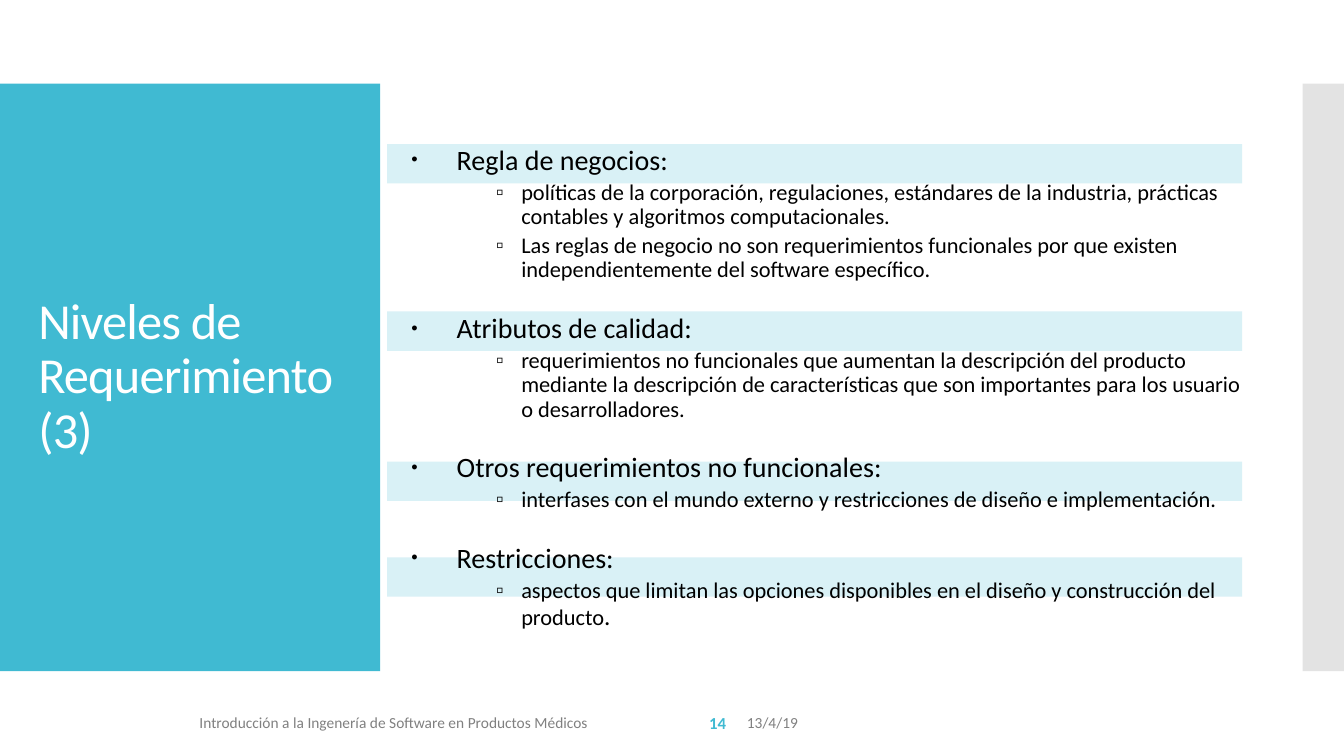
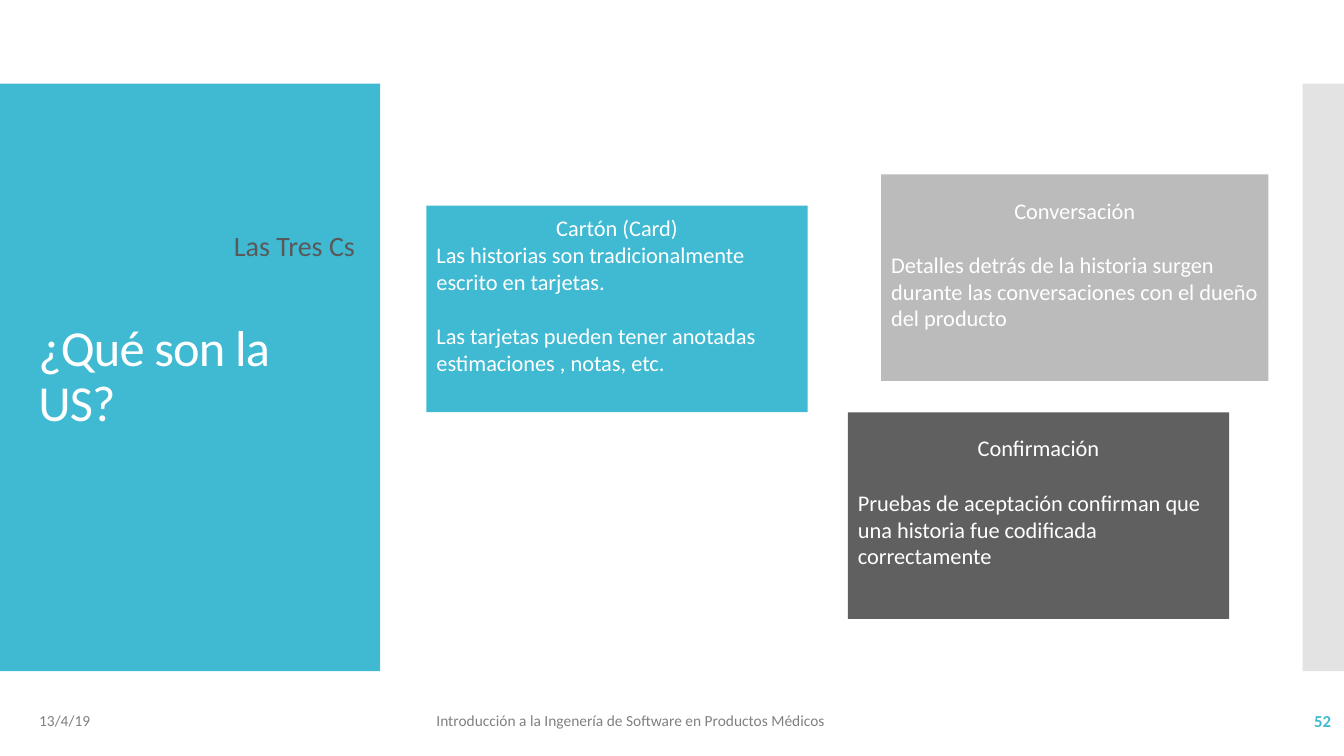
"""Build two slides on requirement levels and user stories."""
from lxml.etree import SubElement
from pptx import Presentation
from pptx.dml.color import RGBColor
from pptx.enum.shapes import MSO_SHAPE
from pptx.enum.text import MSO_ANCHOR, MSO_AUTO_SIZE, PP_ALIGN
from pptx.oxml.ns import qn
from pptx.util import Inches, Pt

TEAL = RGBColor(0x40, 0xBA, 0xD2)
PALE_TEAL = RGBColor(0xD9, 0xF1, 0xF6)
SILVER = RGBColor(0xC8, 0xC8, 0xC8)
GRAY = RGBColor(0xBB, 0xBB, 0xBB)
DARK_GRAY = RGBColor(0x60, 0x60, 0x60)
SUBTITLE_GRAY = RGBColor(0x59, 0x59, 0x59)
FOOTER_GRAY = RGBColor(0x80, 0x80, 0x80)
WHITE = RGBColor(0xFF, 0xFF, 0xFF)
BLACK = RGBColor(0, 0, 0)

COURSE = "Introducción a la Ingenería de Software en Productos Médicos"
DATE = "13/4/19"


def write(p, text, size, color, bold=False, **layout):
    """Add a formatted run and set the paragraph attributes."""
    r = p.add_run()
    r.text = text
    r.font.color.rgb = color
    for name, value in {"name": "Calibri", "size": Pt(size), "bold": bold}.items():
        setattr(r.font, name, value)
    for name, value in layout.items():
        setattr(p, name, value)
    return r


def add_rect(s, box, color):
    """Add a flat rectangle without outline."""
    sp = s.shapes.add_shape(MSO_SHAPE.RECTANGLE, *map(Inches, box))
    sp.shadow.inherit = False
    sp.fill.solid()
    sp.fill.fore_color.rgb = color
    sp.line.fill.background()
    return sp


prs = Presentation()
prs.slide_width, prs.slide_height = Inches(13.33), Inches(7.5)
layout = prs.slide_layouts[1]
title = layout.placeholders[0]
title.left, title.top, title.width, title.height = map(Inches, (0.28, 1.23, 3.22, 5.03))
title.text_frame.vertical_anchor = MSO_ANCHOR.MIDDLE

SLIDES = [
    ("Niveles de Requerimiento (3)", (3.83, 1.4, 8.69, 5.15), MSO_ANCHOR.TOP, 6.97,
     [(DATE, 7.31, 4.14), (COURSE, 1.88, 4.14), ("14", 6.03, 1.27)]),
    ("¿Qué son la US?", (2.02, 2.1, 8.19, 0.71), MSO_ANCHOR.MIDDLE, 6.95,
     [(DATE, 0.29, 3), (COURSE, 4.23, 6.46), ("52", 11.63, 1.67)]),
]
for heading, body_box, anchor, footer_top, footers in SLIDES:
    s = prs.slides.add_slide(layout)
    tf = s.shapes.title.text_frame
    tf.auto_size = MSO_AUTO_SIZE.NONE
    r = write(tf.paragraphs[0], heading, 36, WHITE,
              alignment=PP_ALIGN.LEFT, line_spacing=0.9)
    r.font._element.set("spc", "-60")

    body = s.placeholders[1]
    body.left, body.top, body.width, body.height = map(Inches, body_box)
    body.text_frame.auto_size = MSO_AUTO_SIZE.NONE
    body.text_frame.vertical_anchor = anchor

    for text, left, width in footers:
        tf = s.shapes.add_textbox(*map(Inches, (left, footer_top, width, 0.4))).text_frame
        tf.word_wrap = True
        tf.vertical_anchor = MSO_ANCHOR.MIDDLE
        p = tf.paragraphs[0]
        if text.isdigit():
            write(p, text, 12, TEAL, bold=True, alignment=PP_ALIGN.RIGHT)
        else:
            write(p, text, 11, FOOTER_GRAY)

levels, stories = prs.slides

panel = add_rect(levels, (0, 0.83, 3.77, 5.83), TEAL)
edge = add_rect(levels, (12.92, 0.83, 0.42, 5.83), SILVER)
SubElement(edge.element.find(".//" + qn("a:srgbClr")), qn("a:alpha"), val="50000")
for sp in (panel, edge):
    layout.shapes.element.insert(2, sp.element)

for top in (1.43, 3.09, 4.58, 5.53):
    sp = add_rect(levels, (3.84, top, 8.48, 0.39), PALE_TEAL)
    levels.shapes.element.insert(2, sp.element)

LEVELS = [
    ("Regla de negocios:", [
        "políticas de la corporación, regulaciones, estándares de la industria, "
        "prácticas contables y algoritmos computacionales.",
        "Las reglas de negocio no son requerimientos funcionales por que existen "
        "independientemente del software específico."]),
    ("Atributos de calidad:", [
        "requerimientos no funcionales que aumentan la descripción del producto "
        "mediante la descripción de características que son importantes para los "
        "usuario o desarrolladores."]),
    ("Otros requerimientos no funcionales:", [
        "interfases con el mundo externo y restricciones de diseño e implementación."]),
    ("Restricciones:", [
        "aspectos que limitan las opciones disponibles en el diseño y construcción "
        "del producto"]),
]
HEAD = {"size": 20, "gap": 22.5, "left": 0.6, "hang": 0.45, "char": "•", "pct": 65}
ITEM = {"size": 16, "gap": 3.5, "left": 1.24, "hang": 0.25, "char": "▫", "pct": 95}
rows = [row for head, items in LEVELS
        for row in [(head, 0, HEAD)] + [(item, 1, ITEM) for item in items]]
tf = levels.placeholders[1].text_frame
for i, (text, level, fmt) in enumerate(rows):
    p = tf.add_paragraph() if i else tf.paragraphs[0]
    pPr = p._p.get_or_add_pPr()
    pPr.set("marL", str(Inches(fmt["left"])))
    pPr.set("indent", str(-Inches(fmt["hang"])))
    SubElement(pPr, qn("a:buSzPct"), val=str(fmt["pct"] * 1000))
    SubElement(pPr, qn("a:buChar"), char=fmt["char"])
    write(p, text, fmt["size"], BLACK, level=level, line_spacing=0.9,
          space_before=Pt(fmt["gap"] if i else 0))
write(p, ".", 18, BLACK)

p = stories.placeholders[1].text_frame.paragraphs[0]
pPr = p._p.get_or_add_pPr()
pPr.set("marL", str(Inches(0.2)))
pPr.set("indent", "0")
SubElement(pPr, qn("a:buNone"))
write(p, "Las Tres Cs", 20, SUBTITLE_GRAY, line_spacing=0.9, space_before=Pt(0))

LINE = 19.5
CARDS = [
    ((4.23, 2.04, 3.78, 2.05), TEAL, "Cartón (Card)", [
        ("Las historias son tradicionalmente escrito en tarjetas.", 0),
        ("Las tarjetas pueden tener anotadas estimaciones , notas, etc.", LINE)]),
    ((8.74, 1.73, 3.84, 2.05), GRAY, "Conversación", [
        ("Detalles detrás de la historia surgen durante las conversaciones con el "
         "dueño del producto", LINE)]),
    ((8.41, 4.09, 3.78, 2.05), DARK_GRAY, "Confirmación", [
        ("Pruebas de aceptación confirman que una historia fue codificada "
         "correctamente", LINE)]),
]
for box, color, heading, paragraphs in CARDS:
    tf = add_rect(stories, box, color).text_frame
    tf.word_wrap = True
    tf.vertical_anchor = MSO_ANCHOR.MIDDLE
    tf.margin_bottom = Inches(0.32)
    write(tf.paragraphs[0], heading, 16, WHITE, alignment=PP_ALIGN.CENTER)
    for text, gap in paragraphs:
        write(tf.add_paragraph(), text, 16, WHITE,
              alignment=PP_ALIGN.LEFT, space_before=Pt(gap))

prs.save("out.pptx")
